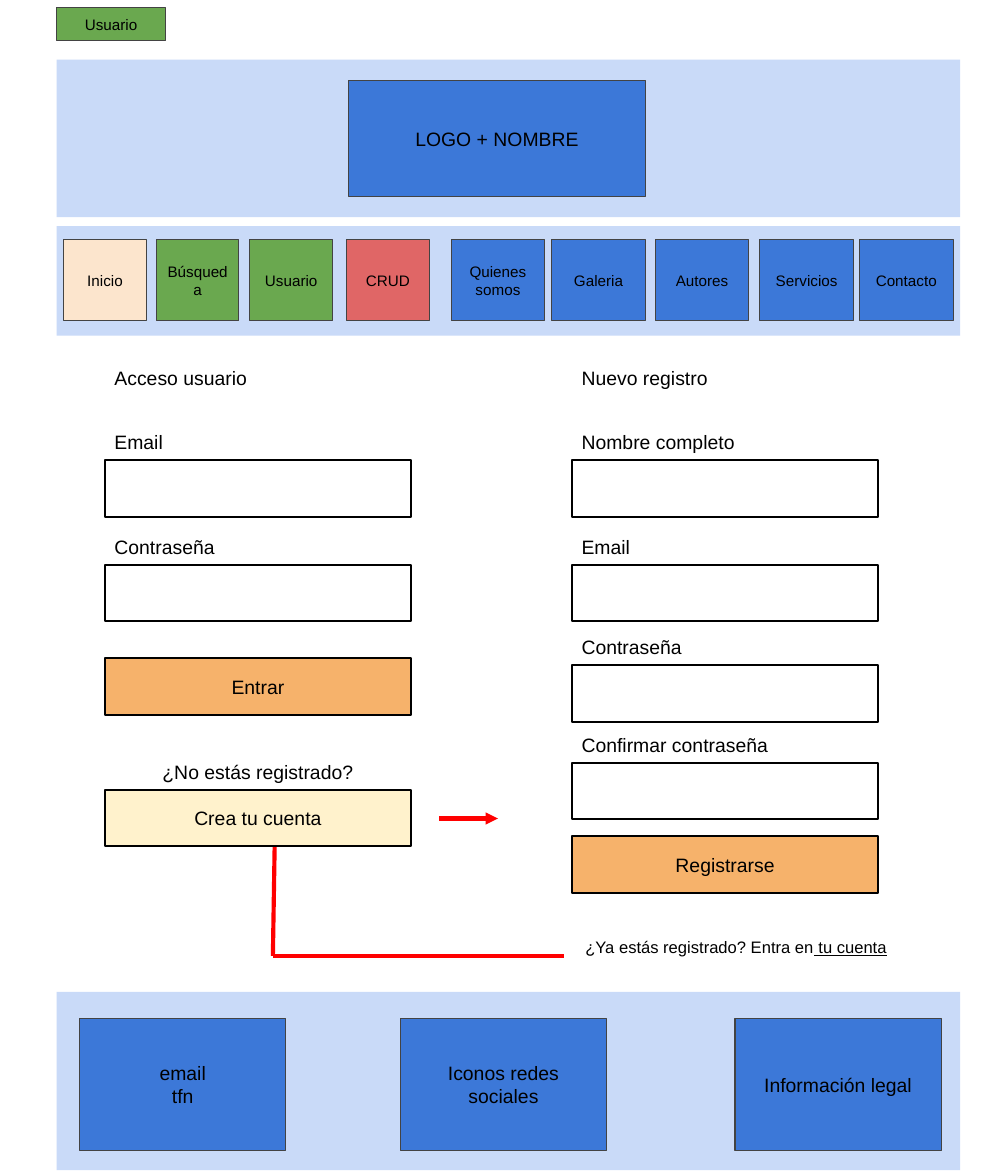
from lxml import etree
from pptx import Presentation
from pptx import util as u
from pptx.dml import color
from pptx.enum import shapes, text
from pptx.oxml import ns

BLACK, GRAY, RED = "000000", "434343", "FF0000"
BLUE, PALE_BLUE, GREEN = "3C78D8", "C9DAF8", "6AA84F"
CORAL, PEACH, ORANGE, CREAM = "E06666", "FCE5CD", "F6B26B", "FFF2CC"


def rgb(value):
    return color.RGBColor.from_string(value)


class Wireframe:
    font = "Arial"
    margin = 0.1
    field_width, field_height = 3.08, 0.57
    label_gap = 0.4

    def __init__(self, slide):
        self.slide = slide

    def add_text(self, shape, paragraphs, size, align, anchor):
        """Each paragraph is a list of (text, underlined) runs."""
        frame = shape.text_frame
        frame.word_wrap = True
        frame.vertical_anchor = anchor
        frame.margin_left = frame.margin_right = u.Inches(self.margin)
        frame.margin_top = frame.margin_bottom = u.Inches(self.margin)
        for index, runs in enumerate(paragraphs):
            paragraph = frame.add_paragraph() if index else frame.paragraphs[0]
            paragraph.alignment = align
            for content, underlined in runs:
                run = paragraph.add_run()
                run.text = content
                run.font.name = self.font
                run.font.size = u.Pt(size)
                run.font.color.rgb = rgb(BLACK)
                if underlined:
                    run.font.underline = True

    def box(self, left, top, width, height, fill=None, line=GRAY,
            weight=0.75, lines=(), size=14):
        shape = self.slide.shapes.add_shape(
            shapes.MSO_SHAPE.RECTANGLE, u.Inches(left), u.Inches(top),
            u.Inches(width), u.Inches(height))
        shape.shadow.inherit = False
        if fill:
            shape.fill.solid()
            shape.fill.fore_color.rgb = rgb(fill)
        else:
            shape.fill.background()
        if line:
            shape.line.color.rgb = rgb(line)
            shape.line.width = u.Pt(weight)
        else:
            shape.line.fill.background()
        if lines:
            self.add_text(shape, [[(content, False)] for content in lines],
                          size, text.PP_ALIGN.CENTER, text.MSO_ANCHOR.MIDDLE)

    def band(self, top, height):
        self.box(0.57, top, 9.07, height, PALE_BLUE, line=None)

    def label(self, left, top, runs, width=field_width, size=14,
              align=text.PP_ALIGN.LEFT):
        shape = self.slide.shapes.add_textbox(
            u.Inches(left), u.Inches(top), u.Inches(width),
            u.Inches(self.field_height))
        self.add_text(shape, [runs], size, align, text.MSO_ANCHOR.TOP)

    def field(self, left, top, caption):
        self.label(left, top - self.label_gap, [(caption, False)])
        self.box(left, top, self.field_width, self.field_height,
                 line=BLACK, weight=1.5)

    def button(self, left, top, caption, fill):
        self.box(left, top, self.field_width, self.field_height, fill,
                 BLACK, 1.5, [caption])

    def line(self, x1, y1, x2, y2, arrow=False):
        connector = self.slide.shapes.add_connector(
            shapes.MSO_CONNECTOR.STRAIGHT, u.Inches(x1), u.Inches(y1),
            u.Inches(x2), u.Inches(y2))
        connector.line.color.rgb = rgb(RED)
        connector.line.width = u.Pt(3)
        properties = connector._element.spPr
        if arrow:
            etree.SubElement(properties.find(ns.qn("a:ln")),
                             ns.qn("a:tailEnd"), type="triangle")
        etree.SubElement(properties, ns.qn("a:effectLst"))


def main():
    presentation = Presentation()
    presentation.slide_width = u.Inches(10)
    presentation.slide_height = u.Inches(11.81)
    blank_layout = presentation.slide_layouts[6]
    page = Wireframe(presentation.slides.add_slide(blank_layout))

    # Page tag
    page.box(0.57, 0.08, 1.09, 0.33, GREEN, lines=["Usuario"], size=11)

    # Flow lines, behind the forms
    page.line(4.41, 8.22, 5, 8.22, arrow=True)
    page.line(2.74, 9.6, 2.76, 8.36, arrow=True)
    page.line(2.74, 9.6, 5.66, 9.6)

    # Login and registration forms
    login, register = 1.05, 5.74
    forms = [
        (login, "Acceso usuario", ["Email", "Contraseña"]),
        (register, "Nuevo registro",
         ["Nombre completo", "Email", "Contraseña", "Confirmar contraseña"]),
    ]
    field_tops = [4.62, 5.67, 6.68, 7.66]
    for left, heading, captions in forms:
        page.label(left, 3.58, [(heading, False)])
        for top, caption in zip(field_tops, captions):
            page.field(left, top, caption)

    page.button(login, 6.61, "Entrar", ORANGE)
    page.label(login, 7.53, [("¿No estás registrado?", False)],
               align=text.PP_ALIGN.CENTER)
    page.button(login, 7.93, "Crea tu cuenta", CREAM)
    page.button(register, 8.4, "Registrarse", ORANGE)
    page.label(5.66, 9.31, [("¿Ya estás registrado? Entra en", False),
                            (" tu cuenta", True)],
               width=3.46, size=12, align=text.PP_ALIGN.CENTER)

    # Footer
    page.band(9.96, 1.79)
    footer = [(0.8, ["email", "tfn"]), (4.02, ["Iconos redes sociales"]),
              (7.38, ["Información legal"])]
    for left, lines in footer:
        page.box(left, 10.23, 2.07, 1.32, BLUE, lines=lines)

    # Header
    page.band(0.6, 1.58)
    page.box(3.5, 0.81, 2.98, 1.16, BLUE, lines=["LOGO + NOMBRE"])

    # Navigation menu
    page.band(2.27, 1.1)
    menu = [
        (0.64, 0.83, PEACH, "Inicio"),
        (1.57, 0.83, GREEN, "Búsqueda"),
        (2.51, 0.83, GREEN, "Usuario"),
        (3.48, 0.83, CORAL, "CRUD"),
        (4.53, 0.94, BLUE, "Quienes somos"),
        (5.54, 0.94, BLUE, "Galeria"),
        (6.58, 0.94, BLUE, "Autores"),
        (7.63, 0.94, BLUE, "Servicios"),
        (8.63, 0.94, BLUE, "Contacto"),
    ]
    for left, width, fill, caption in menu:
        page.box(left, 2.41, width, 0.81, fill, lines=[caption], size=11)

    presentation.save("out.pptx")


if __name__ == "__main__":
    main()
